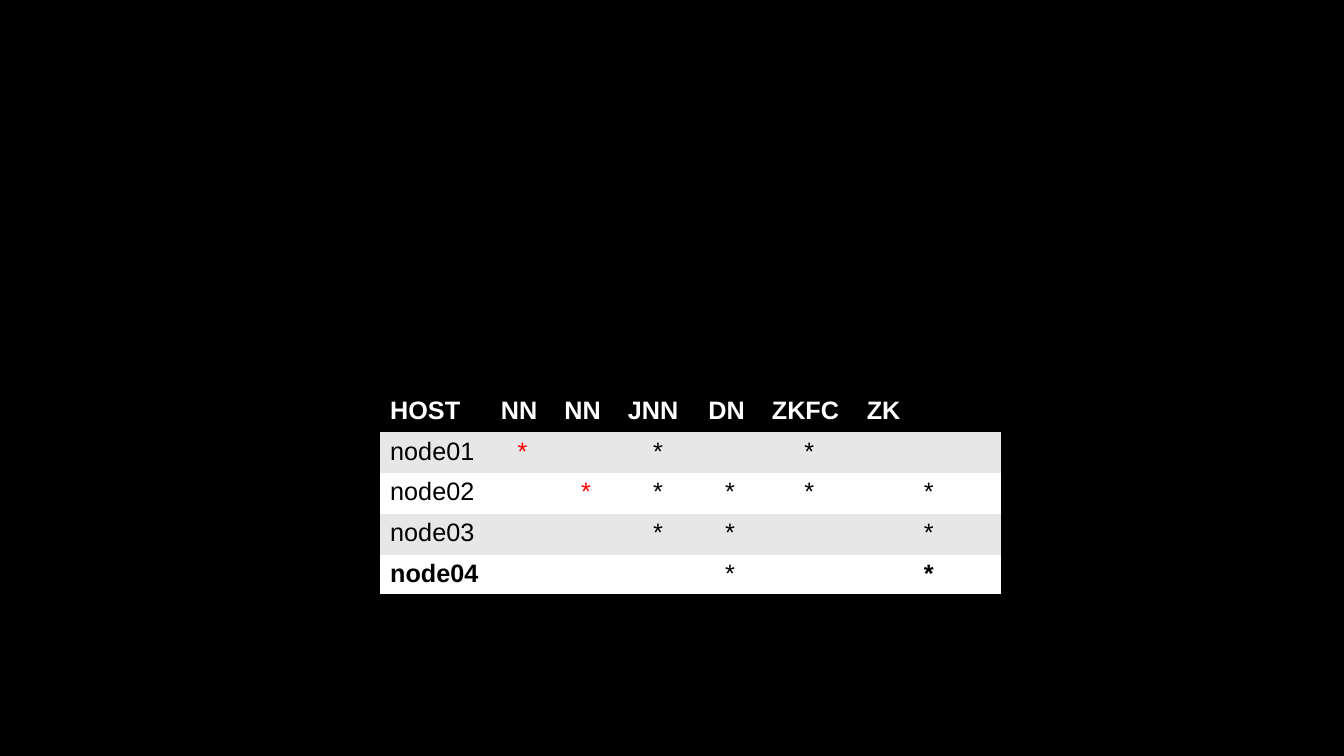
import pptx
import pptx.dml.color
import pptx.enum.text
import pptx.oxml.ns
import pptx.util
from lxml import etree

Cm, Pt = pptx.util.Cm, pptx.util.Pt
RGBColor = pptx.dml.color.RGBColor
PP_ALIGN = pptx.enum.text.PP_ALIGN
qn = pptx.oxml.ns.qn

BLACK = RGBColor(0x00, 0x00, 0x00)
WHITE = RGBColor(0xFF, 0xFF, 0xFF)
GREY = RGBColor(0xE7, 0xE7, 0xE7)
RED = RGBColor(0xFF, 0x00, 0x00)

ROWS = [
    ["HOST", "NN", "NN", "JNN", "DN", "ZKFC", "ZK"],
    ["node01", "*", "", "*", "", "*", ""],
    ["node02", "", "*", "*", "*", "*", "*"],
    ["node03", "", "", "*", "*", "", "*"],
    ["node04", "", "", "", "*", "", "*"],
]
NAME_NODE_COLS = (1, 2)
BOLD_LAST_ROW_COLS = (0, 6)
COL_WIDTHS = [2.79, 1.6, 1.6, 2.03, 1.6, 2.39, 3.63]
ROW_HEIGHT = 1.03
LEFT, TOP = 9.58, 9.86


def write(cell, text, color=BLACK, bold=False, align=PP_ALIGN.LEFT):
    p = cell.text_frame.paragraphs[0]
    p.alignment = align
    r = p.add_run()
    r.text = text
    r.font.name = "Arial"
    r.font.size = Pt(18)
    r.font.bold = bold
    r.font.color.rgb = color


def set_borders(cell, black_sides):
    """Draw black lines on the given sides (L, R, T, B) and none on the others."""
    tcPr = cell._tc.get_or_add_tcPr()
    for side in "LRTB":
        ln = etree.SubElement(tcPr, qn(f"a:ln{side}"), w=str(Pt(2)))
        if side in black_sides:
            fill = etree.SubElement(ln, qn("a:solidFill"))
            etree.SubElement(fill, qn("a:srgbClr"), val=str(BLACK))
        else:
            etree.SubElement(ln, qn("a:noFill"))


prs = pptx.Presentation()
prs.slide_width, prs.slide_height = Cm(33.87), Cm(19.05)
s = prs.slides.add_slide(prs.slide_layouts[6])
s.background.fill.solid()
s.background.fill.fore_color.rgb = BLACK

table = s.shapes.add_table(
    len(ROWS), len(COL_WIDTHS), Cm(LEFT), Cm(TOP),
    Cm(sum(COL_WIDTHS)), Cm(ROW_HEIGHT * len(ROWS))).table
for column, width in zip(table.columns, COL_WIDTHS):
    column.width = Cm(width)

last = len(ROWS) - 1
for i, row in enumerate(ROWS):
    table.rows[i].height = Cm(ROW_HEIGHT)
    header = i == 0
    band = BLACK if header else GREY if i % 2 else WHITE
    for j, text in enumerate(row):
        cell = table.cell(i, j)
        set_borders(cell, "TB" if header else "B" if i == last else "")
        cell.fill.solid()
        cell.fill.fore_color.rgb = band
        if not text:
            continue
        if header:
            write(cell, text, color=WHITE, bold=True)
        else:
            write(cell, text,
                  color=RED if j in NAME_NODE_COLS else BLACK,
                  bold=i == last and j in BOLD_LAST_ROW_COLS,
                  align=PP_ALIGN.CENTER if j else PP_ALIGN.LEFT)

prs.save("out.pptx")
